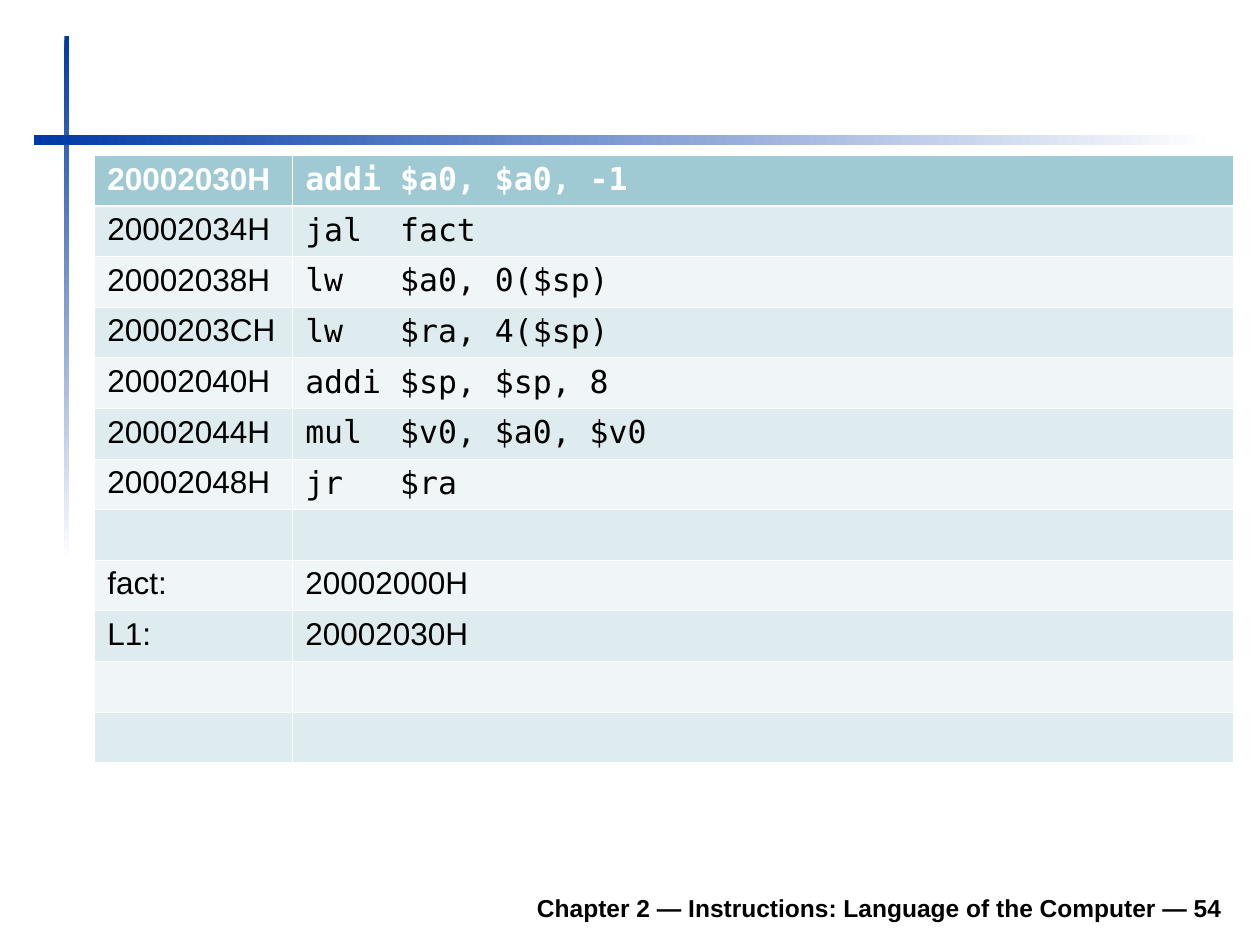
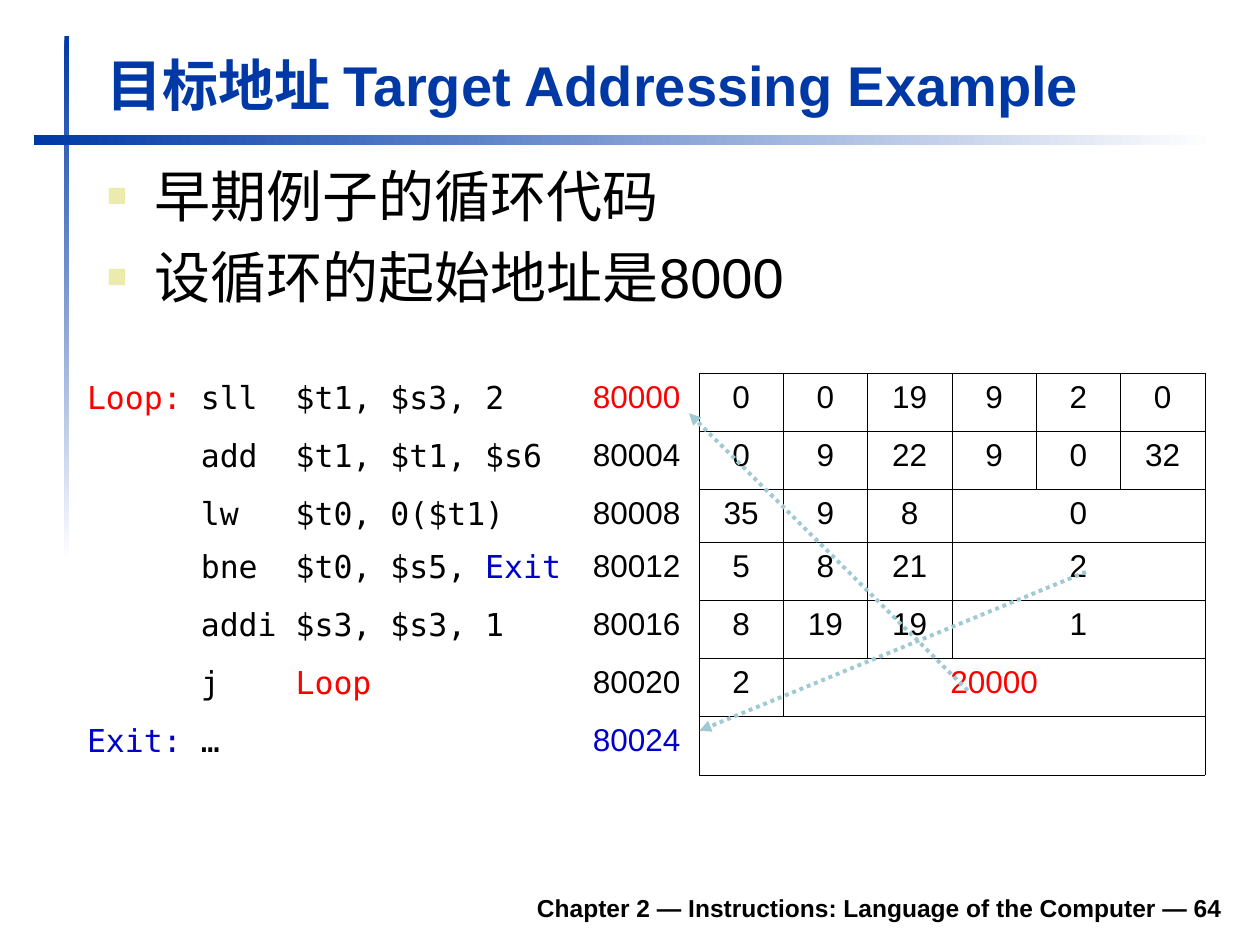
from lxml import etree
from pptx import Presentation
from pptx import util as u
from pptx.dml.color import RGBColor
from pptx.enum import dml, shapes, text
from pptx.oxml import ns

BLUE = RGBColor(0x00, 0x39, 0xA6)
WHITE = RGBColor(0xFF, 0xFF, 0xFF)
BLACK = RGBColor(0x00, 0x00, 0x00)
RED = RGBColor(0xFF, 0x00, 0x00)
EXIT_BLUE = RGBColor(0x00, 0x00, 0xCC)
TEAL = RGBColor(0x9F, 0xCA, 0xD3)
TEAL_LIGHT = RGBColor(0xDF, 0xEC, 0xEF)
TEAL_PALE = RGBColor(0xF0, 0xF6, 0xF7)
CREAM = RGBColor(0xEC, 0xEA, 0xAC)

SANS, MONO = "Arial", "DejaVu Sans Mono"
CHAPTER = "Chapter 2 — Instructions: Language of the Computer — "
LEFT, CENTER, RIGHT = text.PP_ALIGN.LEFT, text.PP_ALIGN.CENTER, text.PP_ALIGN.RIGHT

FACT_CODE = [
    ("20002030H", "addi $a0, $a0, -1"),
    ("20002034H", "jal  fact"),
    ("20002038H", "lw   $a0, 0($sp)"),
    ("2000203CH", "lw   $ra, 4($sp)"),
    ("20002040H", "addi $sp, $sp, 8"),
    ("20002044H", "mul  $v0, $a0, $v0"),
    ("20002048H", "jr   $ra"),
]
FACT_LABELS = [("", ""), ("fact:", "20002000H"), ("L1:", "20002030H"), ("", ""), ("", "")]

# Code runs, address colour, instruction fields (the last one fills the row)
LOOP_CODE = [
    ([("Loop:", RED), (" sll  $t1, $s3, 2", BLACK)], RED, [0, 0, 19, 9, 2, 0]),
    ([("      add  $t1, $t1, $s6", BLACK)], BLACK, [0, 9, 22, 9, 0, 32]),
    ([("      lw   $t0, 0($t1)", BLACK)], BLACK, [35, 9, 8, 0]),
    ([("      bne  $t0, $s5, ", BLACK), ("Exit", EXIT_BLUE)], BLACK, [5, 8, 21, 2]),
    ([("      addi $s3, $s3, 1", BLACK)], BLACK, [8, 19, 19, 1]),
    ([("      j    ", BLACK), ("Loop", RED)], BLACK, [2, 20000]),
    ([("Exit:", EXIT_BLUE), (" …", BLACK)], EXIT_BLUE, [""]),
]
LOOP_START = 80000
FIELD_COUNT = 6


def add_xml(parent, tag, **attributes):
    return etree.SubElement(parent, ns.qn(tag), attributes)


def place(shape, left, top, width, height):
    shape.left, shape.top = u.Cm(left), u.Cm(top)
    shape.width, shape.height = u.Cm(width), u.Cm(height)


class Deck:
    def __init__(self):
        self.prs = Presentation()
        self.prs.slide_width, self.prs.slide_height = u.Cm(25.4), u.Cm(19.05)
        self.slide = None

    def start_slide(self, layout, number):
        """Add a slide with the crossing bands and the chapter footer."""
        self.slide = self.prs.slides.add_slide(self.prs.slide_layouts[layout])
        self.band(1.3, 0.72, 0.09, 10.59, 270)
        self.band(0.69, 2.72, 23.8, 0.2, 0)
        footer = self.slide.shapes.add_textbox(
            u.Cm(4.7), u.Cm(17.73), u.Cm(20.19), u.Cm(0.99)).text_frame
        footer.word_wrap = True
        footer.vertical_anchor = text.MSO_ANCHOR.BOTTOM
        footer.paragraphs[0].alignment = RIGHT
        self.run(footer.paragraphs[0], f"{CHAPTER}{number}", 14, bold=True)

    def band(self, left, top, width, height, angle):
        band = self.slide.shapes.add_shape(
            shapes.MSO_SHAPE.RECTANGLE, u.Cm(left), u.Cm(top), u.Cm(width), u.Cm(height))
        band.shadow.inherit = False
        band.line.fill.background()
        band.fill.gradient()
        band.fill.gradient_angle = angle
        for stop, color, position in zip(band.fill.gradient_stops, (BLUE, WHITE), (0, 1)):
            stop.color.rgb = color
            stop.position = position

    def run(self, paragraph, words, size, color=BLACK, font=SANS, bold=False):
        run = paragraph.add_run()
        run.text = words
        run.font.size = u.Pt(size)
        run.font.name = font
        run.font.bold = bold
        run.font.color.rgb = color

    def title(self, words):
        title = self.slide.shapes.title
        place(title, 1.9, 0.91, 22.94, 1.6)
        frame = title.text_frame
        frame.auto_size = text.MSO_AUTO_SIZE.NONE
        frame.vertical_anchor = text.MSO_ANCHOR.BOTTOM
        frame.paragraphs[0].alignment = LEFT
        self.run(frame.paragraphs[0], words, 32, BLUE, bold=True)

    def bullets(self, items):
        body = self.slide.placeholders[1]
        place(body, 1.9, 3.12, 22.96, 3.4)
        frame = body.text_frame
        frame.auto_size = text.MSO_AUTO_SIZE.NONE
        for index, item in enumerate(items):
            paragraph = frame.add_paragraph() if index else frame.paragraphs[0]
            props = paragraph._p.get_or_add_pPr()
            props.set("marL", str(u.Cm(0.96)))
            props.set("indent", str(u.Cm(-0.96)))
            add_xml(add_xml(props, "a:buClr"), "a:srgbClr", val=str(CREAM))
            add_xml(props, "a:buSzPct", val="60000")
            add_xml(props, "a:buFont", typeface=SANS)
            add_xml(props, "a:buChar", char="■")
            paragraph.space_before = u.Pt(8 if index else 0)
            self.run(paragraph, item, 32)

    def table(self, left, top, widths, heights):
        table = self.slide.shapes.add_table(
            len(heights), len(widths), u.Cm(left), u.Cm(top),
            u.Cm(sum(widths)), u.Cm(sum(heights))).table
        table.first_row = table.horz_banding = False
        for column, width in zip(table.columns, widths):
            column.width = u.Cm(width)
        for row, height in zip(table.rows, heights):
            row.height = u.Cm(height)
        return table

    def cell(self, cell, runs, font=SANS, bold=False, align=LEFT, fill=None):
        """Fill a cell with (words, colour) runs."""
        if fill is None:
            cell.fill.background()
        else:
            cell.fill.solid()
            cell.fill.fore_color.rgb = fill
        paragraph = cell.text_frame.paragraphs[0]
        paragraph.alignment = align
        for words, color in runs:
            if words:
                self.run(paragraph, words, 18, color, font, bold)

    def borders(self, cell, color, **special):
        """Draw hairlines; special maps a side (L, R, T, B) to (colour, points)."""
        props = cell._tc.get_or_add_tcPr()
        for index, side in enumerate("LRTB"):
            side_color, points = special.get(side, (color, 0.45))
            line = etree.Element(ns.qn(f"a:ln{side}"), w=str(u.Pt(points)))
            add_xml(add_xml(line, "a:solidFill"), "a:srgbClr", val=str(side_color))
            props.insert(index, line)

    def jump_arrow(self, x1, y1, x2, y2):
        arrow = self.slide.shapes.add_connector(
            shapes.MSO_CONNECTOR.STRAIGHT, u.Cm(x1), u.Cm(y1), u.Cm(x2), u.Cm(y2))
        arrow.line.color.rgb = TEAL
        arrow.line.width = u.Pt(2.25)
        arrow.line.dash_style = dml.MSO_LINE.ROUND_DOT
        add_xml(arrow.line._get_or_add_ln(), "a:tailEnd", type="triangle")
        add_xml(arrow._element.spPr, "a:effectLst")


def fact_slide(deck):
    deck.start_slide(6, 54)
    rows = FACT_CODE + FACT_LABELS
    listing = deck.table(1.91, 3.13, [3.99, 18.97], [1.02] * len(rows))
    for r, row in enumerate(rows):
        header = r == 0
        fill = TEAL if header else (TEAL_LIGHT if r % 2 else TEAL_PALE)
        rules = {0: {"B": (WHITE, 1.47)}, 1: {"T": (WHITE, 1.47)}}.get(r, {})
        for c, words in enumerate(row):
            cell = listing.cell(r, c)
            font = MONO if c == 1 and r < len(FACT_CODE) else SANS
            deck.cell(cell, [(words, WHITE if header else BLACK)], font, header, fill=fill)
            deck.borders(cell, WHITE, **rules)


def addressing_slide(deck):
    deck.start_slide(1, 64)
    deck.title("目标地址 Target Addressing Example")
    deck.bullets(["早期例子的循环代码", "设循环的起始地址是8000"])
    heights = [1.17] * len(LOOP_CODE)
    heights[2] = 1.07
    loop = deck.table(1.5, 7.53, [10.2, 2.39] + [1.7] * FIELD_COUNT, heights)
    for r, (code, address_color, fields) in enumerate(LOOP_CODE):
        deck.cell(loop.cell(r, 0), code, MONO)
        deck.borders(loop.cell(r, 0), WHITE)
        deck.cell(loop.cell(r, 1), [(str(LOOP_START + 4 * r), address_color)])
        deck.borders(loop.cell(r, 1), WHITE, R=(BLACK, 0.45))
        last = len(fields) - 1
        if len(fields) < FIELD_COUNT:
            loop.cell(r, 2 + last).merge(loop.cell(r, 1 + FIELD_COUNT))
        for c in range(FIELD_COUNT):
            cell = loop.cell(r, 2 + c)
            value = fields[c] if c <= last else ""
            color = RED if value == LOOP_START // 4 else BLACK
            deck.cell(cell, [(str(value), color)], align=CENTER)
            deck.borders(cell, BLACK)
    deck.jump_arrow(19.51, 13.92, 13.89, 8.33)
    deck.jump_arrow(21.89, 11.53, 14.1, 14.73)


def main():
    deck = Deck()
    fact_slide(deck)
    addressing_slide(deck)
    deck.prs.save("out.pptx")


if __name__ == "__main__":
    main()
